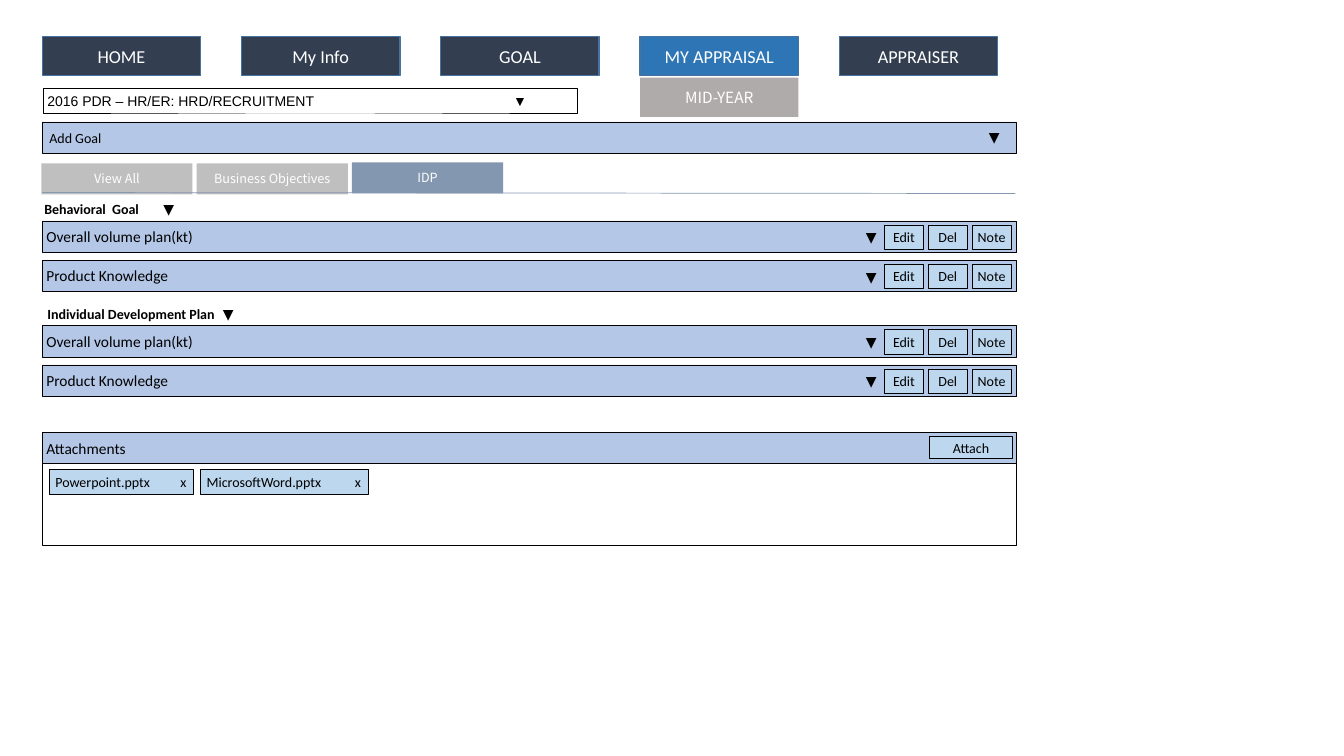
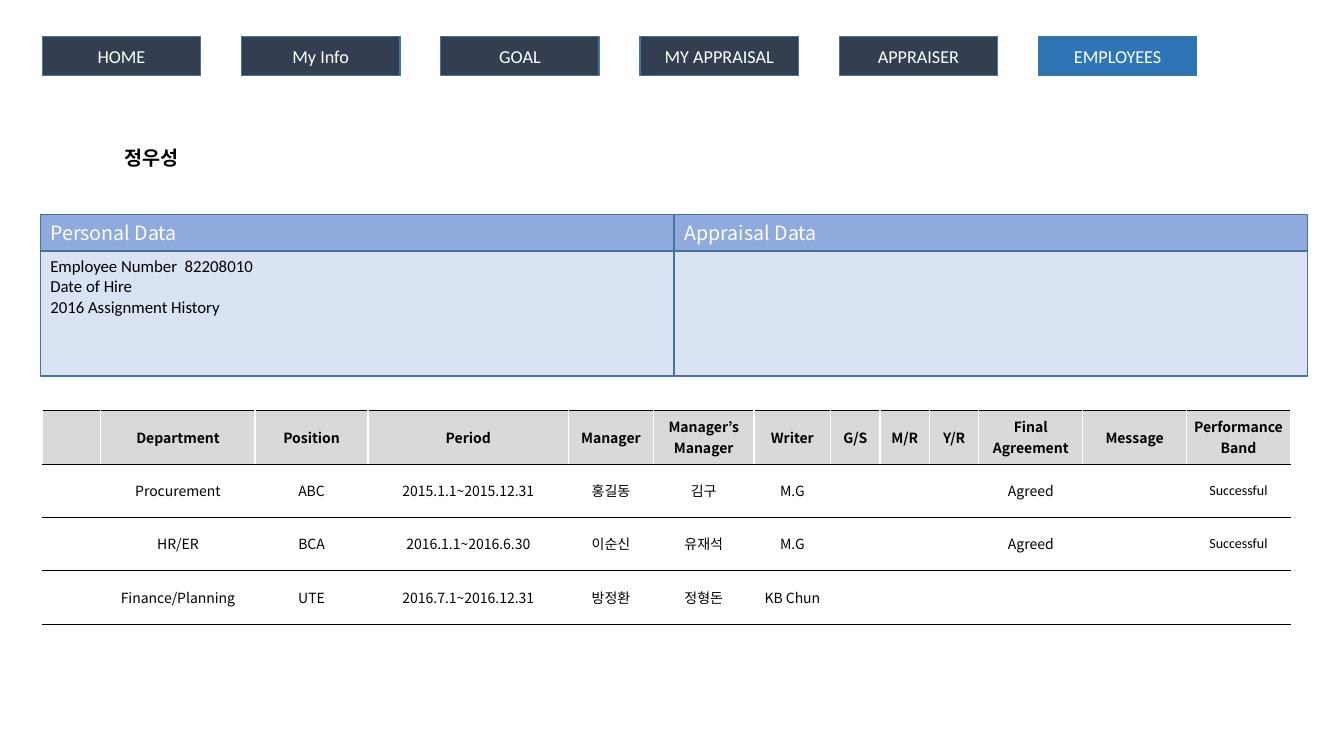
from lxml.etree import SubElement
from pptx import Presentation
from pptx.dml.color import RGBColor
from pptx.enum.shapes import MSO_CONNECTOR, MSO_SHAPE
from pptx.enum.text import MSO_ANCHOR, PP_ALIGN
from pptx.oxml.ns import qn
from pptx.util import Inches, Pt

COLORS = {
    "white": "FFFFFF", "black": "000000", "navy": "333F50", "active": "2E75B6",
    "edge": "43739E", "submenu": "AFABAB", "bar": "B4C7E7", "button": "BDD7EE",
    "tab": "BFBFBF", "tab_on": "8497B0", "panel_head": "8FAADC",
    "panel": "DAE3F3", "table_head": "D9D9D9",
}
LATIN, CJK, ARIAL = "Calibri", "Noto Sans CJK KR", "Arial"
LEFT, BAR_W, BAR_H = 0.42, 9.66, 0.31
NAV = ["HOME", "My Info", "GOAL", "MY APPRAISAL", "APPRAISER", "EMPLOYEES"]
GOALS = ["Overall volume plan(kt)", "Product Knowledge"]
COL_WIDTHS = [0.58, 1.53, 1.12, 1.99, 0.84, 1, 0.76, 0.49, 0.49, 0.49, 1.03, 1.03, 1.03]
HISTORY = [
    ["", "Department", "Position", "Period", "Manager", "Manager’s Manager", "Writer",
     "G/S", "M/R", "Y/R", "Final\nAgreement", "Message", "Performance Band"],
    ["", "Procurement", "ABC", "2015.1.1~2015.12.31", "홍길동", "김구", "M.G",
     "", "", "", "Agreed", "", "Successful"],
    ["", "HR/ER", "BCA", "2016.1.1~2016.6.30", "이순신", "유재석", "M.G",
     "", "", "", "Agreed", "", "Successful"],
    ["", "Finance/Planning", "UTE", "2016.7.1~2016.12.31", "방정환", "정형돈", "KB Chun",
     "", "", "", "", "", ""],
]


def rgb(name):
    """Return the named palette colour."""
    return RGBColor.from_string(COLORS[name])


def style_run(r, size, color="black", font=LATIN, bold=False):
    """Format one run, for Latin and East Asian text alike."""
    r.font.size, r.font.bold = Pt(size), bold
    r.font.color.rgb = rgb(color)
    r.font.name = font
    SubElement(r.font._element, qn("a:ea"), typeface=font)


def write(tf, text, size, align=PP_ALIGN.LEFT, **style):
    """Fill a text frame, one paragraph a line, and format its runs."""
    tf.text = text
    for p in tf.paragraphs:
        p.alignment = align
        for r in p.runs:
            style_run(r, size, **style)


def set_insets(tf, left, top, right, bottom):
    """Set the four inner margins in inches."""
    tf.margin_left, tf.margin_top = Inches(left), Inches(top)
    tf.margin_right, tf.margin_bottom = Inches(right), Inches(bottom)


def add_tab_stop(p, pos, align="l"):
    """Give a paragraph one tab stop."""
    tabs = SubElement(p._p.get_or_add_pPr(), qn("a:tabLst"))
    SubElement(tabs, qn("a:tab"), pos=str(Inches(pos)), algn=align)


def add_box(s, x, y, w, h, fill=None, line=None, weight=0.25, text="", size=10,
            align=PP_ALIGN.CENTER, anchor=MSO_ANCHOR.MIDDLE, insets=None, **style):
    """Add a rectangle with optional fill, outline and text."""
    sp = s.shapes.add_shape(MSO_SHAPE.RECTANGLE, Inches(x), Inches(y), Inches(w), Inches(h))
    sp.shadow.inherit = False
    if fill:
        sp.fill.solid()
        sp.fill.fore_color.rgb = rgb(fill)
    else:
        sp.fill.background()
    if line:
        sp.line.color.rgb = rgb(line)
        sp.line.width = Pt(weight)
    else:
        sp.line.fill.background()
    tf = sp.text_frame
    tf.word_wrap, tf.vertical_anchor = True, anchor
    if insets:
        set_insets(tf, *insets)
    if text:
        write(tf, text, size, align, **style)
    return sp


def add_text(s, x, y, w, h, text, size, align=PP_ALIGN.LEFT, insets=(0, 0, 0, 0)):
    """Add a plain text box."""
    tf = s.shapes.add_textbox(Inches(x), Inches(y), Inches(w), Inches(h)).text_frame
    tf.word_wrap = True
    set_insets(tf, *insets)
    write(tf, text, size, align)
    return tf


def add_nav(s, count, active):
    """Add the first menu buttons, with the current one highlighted."""
    for i, label in enumerate(NAV[:count]):
        add_box(s, LEFT + 1.976 * i, 0.36, 1.57, 0.39, "active" if label == active else "navy",
                "edge", 1, label, 13, color="white")


def add_bar(s, y, text, size=11, inset=0.04):
    """Add a full-width blue bar."""
    add_box(s, LEFT, y, BAR_W, BAR_H, "bar", "black", text=text, size=size,
            align=PP_ALIGN.LEFT, insets=(inset, 0.04, 0.04, 0.04))


def add_button(s, x, y, w, h, text):
    """Add a small light blue button."""
    return add_box(s, x, y, w, h, "button", "black", text=text, insets=(0.04,) * 4)


def add_arrow(s, x, y):
    """Add a drop-down arrow."""
    add_text(s, x, y, 0.24, 0.27, "▼", 10, PP_ALIGN.CENTER, (0, 0.05, 0, 0.05))


def add_goal_section(s, y, heading, inset, tab):
    """Add a bold heading with its goal bars and their buttons."""
    tf = add_text(s, LEFT, y, 3.23, 0.21, heading, 10, insets=(inset, 0.02, 0.02, 0.02))
    p = tf.paragraphs[0]
    add_tab_stop(p, tab)
    p.runs[0].font.bold = True
    r = p.add_run()
    r.text = "\t▼"
    style_run(r, 10)
    for i, goal in enumerate(GOALS):
        top = y + 0.22 + 0.39 * i
        add_bar(s, top, goal)
        add_arrow(s, 8.52, top + 0.03)
        for j, label in enumerate(["Edit", "Del", "Note"]):
            add_button(s, 8.77 + 0.435 * j, top + 0.04, 0.39, 0.24, label)


def add_file_chip(s, x, w, name):
    """Add an attached file with its remove mark."""
    tf = add_button(s, x, 4.66, w, 0.24, name + "\tx").text_frame
    set_insets(tf, 0.06, 0.04, 0.02, 0.04)
    tf.paragraphs[0].alignment = PP_ALIGN.LEFT
    add_tab_stop(tf.paragraphs[0], w - 0.13, "r")


def add_rule(s, x1, y1, x2, y2, color, weight):
    """Add a straight line."""
    ln = s.shapes.add_connector(MSO_CONNECTOR.STRAIGHT, Inches(x1), Inches(y1),
                                Inches(x2), Inches(y2))
    ln.line.color.rgb = rgb(color)
    ln.line.width = Pt(weight)
    SubElement(ln._element.spPr, qn("a:effectLst"))


def set_borders(cell):
    """Draw white vertical and black horizontal cell borders."""
    tcPr = cell._tc.get_or_add_tcPr()
    for side, color, weight in [("L", "white", 1), ("R", "white", 1),
                                ("T", "black", 0.25), ("B", "black", 0.25)]:
        ln = SubElement(tcPr, qn("a:ln" + side), w=str(Pt(weight)))
        fill = SubElement(ln, qn("a:solidFill"))
        SubElement(fill, qn("a:srgbClr"), val=COLORS[color])


def add_history_table(s):
    """Add the assignment history table."""
    table = s.shapes.add_table(len(HISTORY), len(COL_WIDTHS), Inches(LEFT), Inches(4.07),
                               Inches(sum(COL_WIDTHS)), Inches(2.11)).table
    table.first_row = table.horz_banding = False
    for col, w in zip(table.columns, COL_WIDTHS):
        col.width = Inches(w)
    for i, values in enumerate(HISTORY):
        table.rows[i].height = Inches(0.53)
        for j, value in enumerate(values):
            cell = table.cell(i, j)
            set_borders(cell)
            set_insets(cell, 0.02, 0.05, 0.02, 0.05)
            cell.vertical_anchor = MSO_ANCHOR.MIDDLE
            if i == 0:
                cell.fill.solid()
                cell.fill.fore_color.rgb = rgb("table_head")
            else:
                cell.fill.background()
            if value:
                write(cell.text_frame, value, 10, PP_ALIGN.CENTER, bold=i == 0,
                      font=LATIN if value == "Successful" else CJK)


def add_panel(s, x, heading, body=""):
    """Add a headed data panel."""
    add_box(s, x, 2.13, 6.28, 0.36, "panel_head", "edge", 1, heading, 14, PP_ALIGN.LEFT,
            color="white", font=CJK)
    add_box(s, x, 2.49, 6.28, 1.24, "panel", "edge", 1, body, 12, PP_ALIGN.LEFT,
            MSO_ANCHOR.TOP)


def add_title(s, text):
    """Place and format the title placeholder."""
    sp = s.shapes.title
    sp.left, sp.top, sp.width, sp.height = Inches(1.01), Inches(1.4), Inches(0.98), Inches(0.34)
    sp.text_frame.vertical_anchor = MSO_ANCHOR.TOP
    write(sp.text_frame, text, 14, PP_ALIGN.CENTER, font=CJK, bold=True)


def build_appraisal(prs):
    """Build the appraisal goals screen."""
    s = prs.slides.add_slide(prs.slide_layouts[6])
    add_nav(s, 5, "MY APPRAISAL")
    add_box(s, 6.35, 0.77, 1.57, 0.39, "submenu", text="MID-YEAR", size=11,
            color="white", font=CJK)
    picker = add_box(s, 0.43, 0.88, 5.29, 0.24, line="black",
                     text="2016 PDR – HR/ER: HRD/RECRUITMENT\t▼", align=PP_ALIGN.LEFT,
                     insets=(0.04,) * 4, font=ARIAL)
    add_tab_stop(picker.text_frame.paragraphs[0], 4.62)
    add_bar(s, 1.21, "Add Goal", 10, 0.07)
    add_arrow(s, 9.74, 1.23)
    for i, label in enumerate(["View All", "Business Objectives", "IDP"]):
        on = label == "IDP"
        add_box(s, 0.41 + 1.54 * i, 1.61 if on else 1.62, 1.5, BAR_H, "tab_on" if on else "tab",
                text=label, size=9, color="white", font=CJK)
    add_rule(s, LEFT, 1.91, 10.07, 1.92, "tab_on", 0.5)
    add_goal_section(s, 1.97, "Behavioral  Goal", 0.02, 1.18)
    add_goal_section(s, 3.01, "Individual Development Plan", 0.05, 1.74)
    add_box(s, LEFT, 4.59, BAR_W, 0.82, line="black")
    add_bar(s, 4.29, "Attachments")
    add_button(s, 9.22, 4.33, 0.82, 0.22, "Attach")
    add_file_chip(s, 0.49, 1.43, "Powerpoint.pptx")
    add_file_chip(s, 1.99, 1.66, "MicrosoftWord.pptx")


def build_employee(prs):
    """Build the employee record screen."""
    s = prs.slides.add_slide(prs.slide_layouts[5])
    add_nav(s, 6, "EMPLOYEES")
    add_title(s, "정우성")
    add_panel(s, 0.4, "Personal Data",
              "Employee Number  82208010\nDate of Hire\n2016 Assignment History")
    add_panel(s, 6.69, "Appraisal Data")
    add_history_table(s)


def main():
    """Build and save the presentation."""
    prs = Presentation()
    prs.slide_width, prs.slide_height = Inches(13.33), Inches(7.5)
    build_appraisal(prs)
    build_employee(prs)
    prs.save("out.pptx")


if __name__ == "__main__":
    main()
